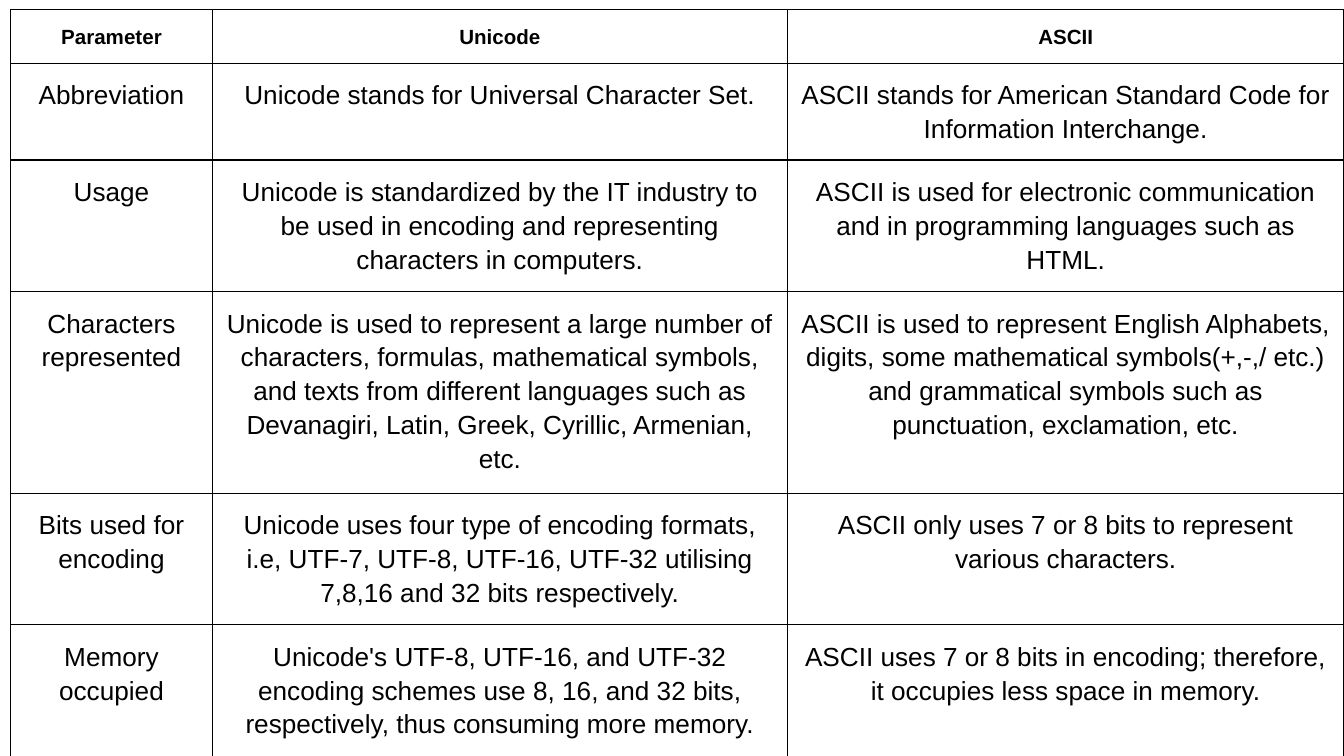
from lxml.etree import SubElement
from pptx import Presentation
from pptx.dml.color import RGBColor
from pptx.enum.text import PP_ALIGN as Align
from pptx.oxml.ns import qn
from pptx.util import Inches, Pt

BLACK = RGBColor(0, 0, 0)
FONT = "Arial"
PAGE_WIDTH = 10
PAGE_HEIGHT = PAGE_WIDTH * 9 / 16
COLUMN_WIDTHS = [1.5, 4.28, 4.14]
ROW_HEIGHTS = [0.4, 0.72, 0.98, 1.5, 0.98, 0.98]
ROWS = [
    ("Parameter", "Unicode", "ASCII"),
    ("Abbreviation",
     "Unicode stands for Universal Character Set.",
     "ASCII stands for American Standard Code for Information Interchange."),
    ("Usage",
     "Unicode is standardized by the IT industry to be used in encoding "
     "and representing characters in computers.",
     "ASCII is used for electronic communication and in programming "
     "languages such as HTML."),
    ("Characters represented",
     "Unicode is used to represent a large number of characters, formulas, "
     "mathematical symbols, and texts from different languages such as "
     "Devanagiri, Latin, Greek, Cyrillic, Armenian, etc.",
     "ASCII is used to represent English Alphabets, digits, some mathematical "
     "symbols(+,-,/ etc.) and grammatical symbols such as punctuation, "
     "exclamation, etc."),
    ("Bits used for encoding",
     "Unicode uses four type of encoding formats, i.e, UTF-7, UTF-8, UTF-16, "
     "UTF-32 utilising 7,8,16 and 32 bits respectively.",
     "ASCII only uses 7 or 8 bits to represent various characters."),
    ("Memory occupied",
     "Unicode's UTF-8, UTF-16, and UTF-32 encoding schemes use 8, 16, and "
     "32 bits, respectively, thus consuming more memory.",
     "ASCII uses 7 or 8 bits in encoding; therefore, it occupies less space "
     "in memory."),
]


def write_text(cell, text, size=14, bold=False, color=BLACK):
    para = cell.text_frame.paragraphs[0]
    para.alignment = Align.CENTER
    para.line_spacing = 1.15
    span = para.add_run()
    span.text = text
    span.font.name = FONT
    span.font.size = Pt(size)
    span.font.bold = bold
    span.font.color.rgb = color


def add_borders(cell, color=BLACK, width=0.75):
    properties = cell._tc.get_or_add_tcPr()
    for side in ("lnL", "lnR", "lnT", "lnB"):
        line = SubElement(properties, qn(f"a:{side}"), w=str(Pt(width)))
        fill = SubElement(line, qn("a:solidFill"))
        SubElement(fill, qn("a:srgbClr"), val=str(color))


def style_cell(cell):
    cell.margin_left = cell.margin_right = Inches(0.1)
    cell.margin_top = cell.margin_bottom = Inches(0.1)
    add_borders(cell)
    cell.fill.background()


def add_comparison_table(page, left, top):
    box = page.shapes.add_table(
        len(ROWS), len(COLUMN_WIDTHS), Inches(left), Inches(top),
        Inches(sum(COLUMN_WIDTHS)), Inches(sum(ROW_HEIGHTS)))
    table = box.table
    table.first_row = False
    table.horz_banding = False
    for column, width in zip(table.columns, COLUMN_WIDTHS):
        column.width = Inches(width)
    for index, (row, height, texts) in enumerate(
            zip(table.rows, ROW_HEIGHTS, ROWS)):
        row.height = Inches(height)
        header = index == 0
        for cell, text in zip(row.cells, texts):
            style_cell(cell)
            write_text(cell, text, size=11 if header else 14, bold=header)


def main():
    deck = Presentation()
    deck.slide_width = Inches(PAGE_WIDTH)
    deck.slide_height = Inches(PAGE_HEIGHT)
    page = deck.slides.add_slide(deck.slide_layouts[6])
    add_comparison_table(page, left=0.08, top=0.07)
    deck.save("out.pptx")


if __name__ == "__main__":
    main()
